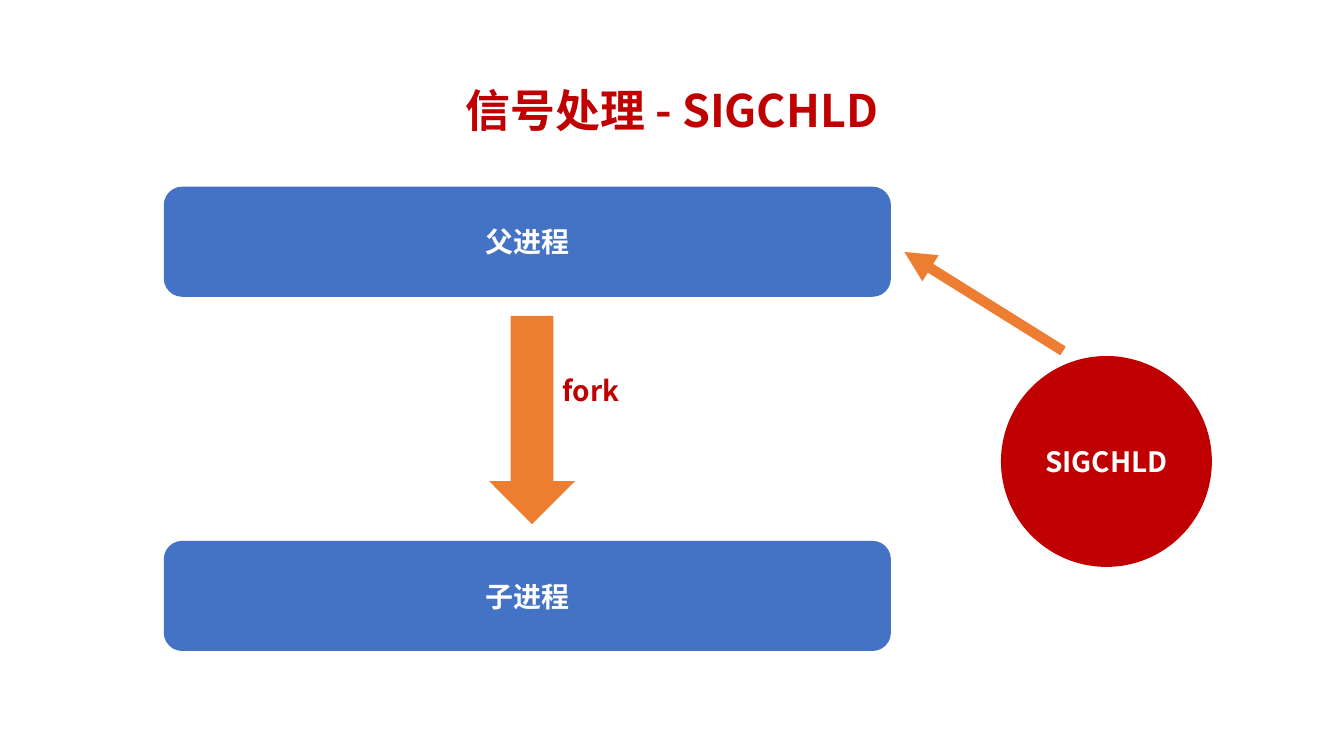
from dataclasses import dataclass

from lxml import etree
from pptx import Presentation
from pptx.dml.color import RGBColor
from pptx.enum.shapes import MSO_CONNECTOR, MSO_SHAPE
from pptx.enum.text import MSO_ANCHOR, PP_ALIGN
from pptx.oxml.ns import qn
from pptx.util import Pt

ROUND, DOWN, OVAL = MSO_SHAPE.ROUNDED_RECTANGLE, MSO_SHAPE.DOWN_ARROW, MSO_SHAPE.OVAL
STRAIGHT = MSO_CONNECTOR.STRAIGHT
LEFT, CENTER = PP_ALIGN.LEFT, PP_ALIGN.CENTER
TOP, MIDDLE = MSO_ANCHOR.TOP, MSO_ANCHOR.MIDDLE


@dataclass(frozen=True)
class Theme:
    font: str = "Noto Sans CJK SC"
    red: str = "C00000"
    blue: str = "4472C4"
    orange: str = "ED7D31"
    white: str = "FFFFFF"
    title: float = 24
    body: float = 15
    stroke: float = 5.5


@dataclass(frozen=True)
class Area:
    left: float
    top: float
    width: float
    height: float

    def points(self) -> tuple:
        return Pt(self.left), Pt(self.top), Pt(self.width), Pt(self.height)


@dataclass(frozen=True)
class Node:
    kind: int
    area: Area
    fill: str
    text: str = ""


@dataclass(frozen=True)
class Label:
    text: str
    area: Area
    size: float
    align: int
    anchor: int
    spacing: float = 1.0


THEME = Theme()
BOX_LEFT, BOX_WIDTH, BOX_HEIGHT = 87.75, 389.5, 59
NODES = [
    *(Node(ROUND, Area(BOX_LEFT, top, BOX_WIDTH, BOX_HEIGHT), THEME.blue, text)
      for text, top in (("父进程", 100), ("子进程", 289.75))),
    Node(DOWN, Area(262, 169.25, 46, 111.5), THEME.orange),
    Node(OVAL, Area(536.25, 190.75, 113, 113), THEME.red, "SIGCHLD"),
]
LABELS = [
    Label("信号处理 - SIGCHLD", Area(49.5, 21.5, 621, 78.5), THEME.title, CENTER, MIDDLE, 0.9),
    Label("fork", Area(294.25, 196.5, 76.5, 25.5), THEME.body, LEFT, TOP),
]
SIGNAL_FROM, SIGNAL_TO = (569.5, 188), (484.5, 135)


def write(frame, text: str, size: float, color: str, align: int, anchor: int,
          spacing: float = 1.0) -> None:
    frame.word_wrap = True
    frame.vertical_anchor = anchor
    para = frame.paragraphs[0]
    para.text = text
    para.alignment = align
    para.line_spacing = spacing
    font = para.font
    font.size, font.bold, font.name = Pt(size), True, THEME.font
    font.color.rgb = RGBColor.from_string(color)
    # Chinese glyphs take their face from a:ea
    props = para._p.pPr.find(qn("a:defRPr"))
    etree.SubElement(props, qn("a:ea"), typeface=THEME.font)


def draw_node(slide, node: Node) -> None:
    shape = slide.shapes.add_shape(node.kind, *node.area.points())
    shape.shadow.inherit = False
    shape.fill.solid()
    shape.fill.fore_color.rgb = RGBColor.from_string(node.fill)
    shape.line.fill.background()
    if node.text:
        write(shape.text_frame, node.text, THEME.body, THEME.white, CENTER, MIDDLE)


def draw_label(slide, label: Label) -> None:
    box = slide.shapes.add_textbox(*label.area.points())
    write(box.text_frame, label.text, label.size, THEME.red,
          label.align, label.anchor, label.spacing)


def draw_arrow(slide, start: tuple[float, float], end: tuple[float, float]) -> None:
    arrow = slide.shapes.add_connector(STRAIGHT, *map(Pt, start + end))
    arrow.line.width = Pt(THEME.stroke)
    arrow.line.color.rgb = RGBColor.from_string(THEME.orange)
    etree.SubElement(arrow.line._get_or_add_ln(), qn("a:tailEnd"), type="triangle")
    etree.SubElement(arrow._element.spPr, qn("a:effectLst"))


def main() -> None:
    deck = Presentation()
    deck.slide_width, deck.slide_height = Pt(720), Pt(405)
    slide = deck.slides.add_slide(deck.slide_layouts[6])
    for node in NODES:
        draw_node(slide, node)
    for label in LABELS:
        draw_label(slide, label)
    draw_arrow(slide, SIGNAL_FROM, SIGNAL_TO)
    deck.save("out.pptx")


if __name__ == "__main__":
    main()
